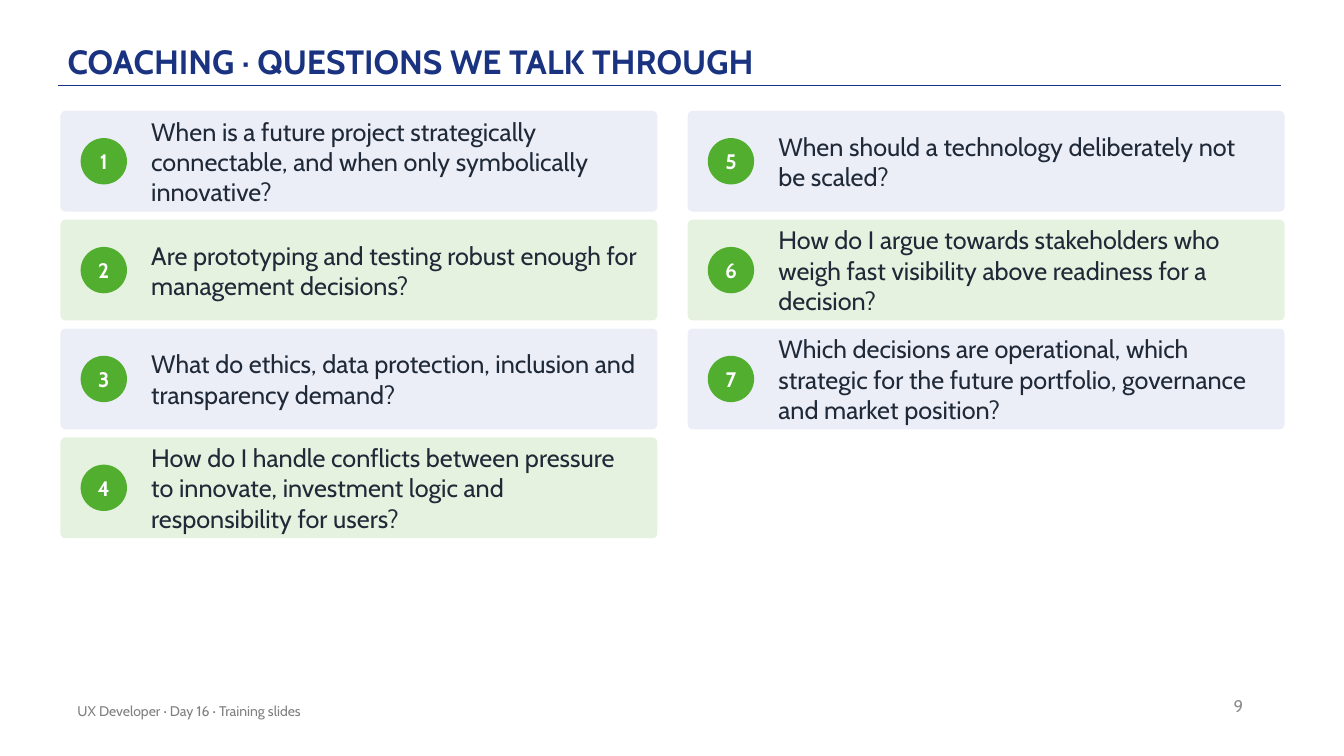
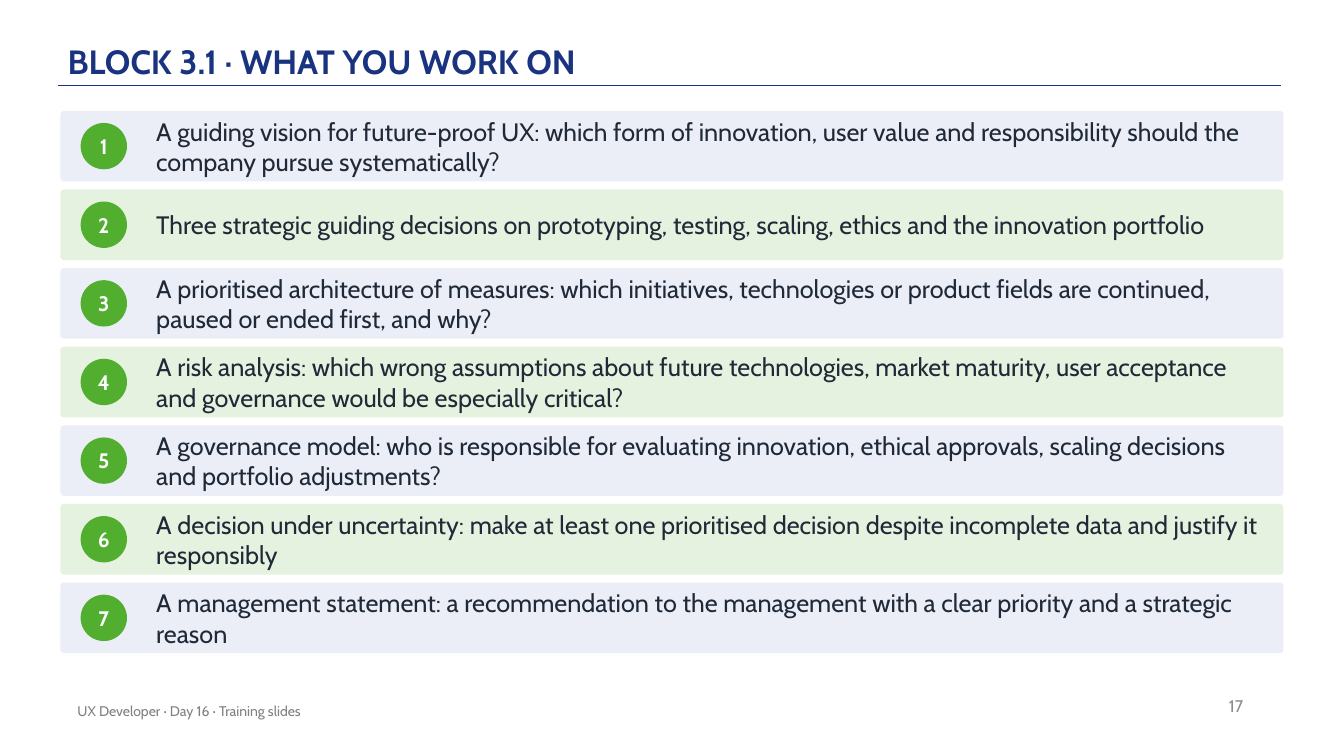
from lxml import etree
from pptx import Presentation
from pptx.dml.color import RGBColor
from pptx.enum.shapes import MSO_CONNECTOR, MSO_SHAPE
from pptx.enum.text import MSO_ANCHOR, MSO_AUTO_SIZE, PP_ALIGN
from pptx.oxml.ns import qn
from pptx.util import Emu, Pt

STRAIGHT = MSO_CONNECTOR.STRAIGHT
ROUNDED, OVAL = MSO_SHAPE.ROUNDED_RECTANGLE, MSO_SHAPE.OVAL
MIDDLE, BOTTOM = MSO_ANCHOR.MIDDLE, MSO_ANCHOR.BOTTOM
LEFT, CENTER, RIGHT = PP_ALIGN.LEFT, PP_ALIGN.CENTER, PP_ALIGN.RIGHT
NO_FIT, FIT_SHAPE = MSO_AUTO_SIZE.NONE, MSO_AUTO_SIZE.SHAPE_TO_FIT_TEXT

# Shared style; 100 px to the inch
EMU_PER_PX = 9144
FONT = "Cabin"
NAVY, GREEN, WHITE, INK = "1A3381", "51AE2F", "FFFFFF", "1F2937"
NUMBER_GREY, FOOTER_GREY = "8C8C8C", "808080"
CARD_FILLS = ("ECEEF7", "E5F2DF")
FOOTER = "UX Developer · Day 16 · Training slides"

# Card grid
CARD_LEFT, CARD_TOP = 60, 110
COLUMN_GAP, ROW_GAP = 30, 8
BADGE_SIZE, BADGE_INDENT = 46, 20

QUESTIONS = [
    "When is a future project strategically connectable, and when only symbolically innovative?",
    "Are prototyping and testing robust enough for management decisions?",
    "What do ethics, data protection, inclusion and transparency demand?",
    "How do I handle conflicts between pressure to innovate, investment logic and responsibility for users?",
    "When should a technology deliberately not be scaled?",
    "How do I argue towards stakeholders who weigh fast visibility above readiness for a decision?",
    "Which decisions are operational, which strategic for the future portfolio, governance and market position?",
]
TASKS = [
    "A guiding vision for future-proof UX: which form of innovation, user value and responsibility should the company pursue systematically?",
    "Three strategic guiding decisions on prototyping, testing, scaling, ethics and the innovation portfolio",
    "A prioritised architecture of measures: which initiatives, technologies or product fields are continued, paused or ended first, and why?",
    "A risk analysis: which wrong assumptions about future technologies, market maturity, user acceptance and governance would be especially critical?",
    "A governance model: who is responsible for evaluating innovation, ethical approvals, scaling decisions and portfolio adjustments?",
    "A decision under uncertainty: make at least one prioritised decision despite incomplete data and justify it responsibly",
    "A management statement: a recommendation to the management with a clear priority and a strategic reason",
]


def px(*lengths):
    return [Emu(n * EMU_PER_PX) for n in lengths]


def rgb(color):
    return RGBColor.from_string(color)


def write(sp, text, size, color, bold=False, align=LEFT, anchor=MIDDLE,
          insets=(0, 0), fit=NO_FIT):
    tf = sp.text_frame
    tf.word_wrap = True
    tf.auto_size = fit
    tf.vertical_anchor = anchor
    side, edge = px(*insets)
    tf.margin_left = tf.margin_right = side
    tf.margin_top = tf.margin_bottom = edge
    p = tf.paragraphs[0]
    p.text = text
    p.alignment = align
    p.font.name = FONT
    p.font.size = Pt(size)
    p.font.bold = bold
    p.font.color.rgb = rgb(color)
    return p


def add_text(s, box, text, size, color, **style):
    write(s.shapes.add_textbox(*px(*box)), text, size, color, **style)


def add_filled(s, kind, box, fill):
    sp = s.shapes.add_shape(kind, *px(*box))
    sp.shadow.inherit = False
    sp.fill.solid()
    sp.fill.fore_color.rgb = rgb(fill)
    sp.line.fill.background()
    return sp


def add_title_rule(s):
    rule = s.shapes.add_connector(STRAIGHT, *px(58, 85, 1271, 85))
    rule.line.color.rgb = rgb(NAVY)
    rule.line.width = Pt(1)
    etree.SubElement(rule._element.spPr, qn("a:effectLst"))


def add_slide(prs, title, number):
    s = prs.slides.add_slide(prs.slide_layouts[5])
    add_title_rule(s)
    sp = s.shapes.title
    sp.left, sp.top, sp.width, sp.height = px(67, 12, 1100, 72)
    p = write(sp, title, 24, NAVY, bold=True, anchor=BOTTOM, insets=(0, 3))
    p.line_spacing = 0.9
    # Page number and footer
    add_text(s, (943, 680, 300, 40), str(number), 12, NUMBER_GREY,
             align=RIGHT, insets=(10, 5))
    add_text(s, (67, 685, 670, 40), FOOTER, 10, FOOTER_GREY, insets=(10, 5))
    return s


def add_card(s, box, number, text, fill, text_indent, right_pad):
    x, y, w, h = box
    card = add_filled(s, ROUNDED, box, fill)
    card.adjustments[0] = 0.05
    badge_top = y + (h - BADGE_SIZE) // 2
    badge = add_filled(s, OVAL, (x + BADGE_INDENT, badge_top, BADGE_SIZE, BADGE_SIZE), GREEN)
    write(badge, str(number), 15, WHITE, bold=True, align=CENTER)
    add_text(s, (x + text_indent, y, w - text_indent - right_pad, h),
             text, 18, INK, fit=FIT_SHAPE)


def add_cards(s, texts, rows, w, h, text_indent, right_pad):
    """Number the cards down each column, alternating fills by row."""
    for i, text in enumerate(texts):
        col, row = divmod(i, rows)
        box = (CARD_LEFT + col * (w + COLUMN_GAP), CARD_TOP + row * (h + ROW_GAP), w, h)
        add_card(s, box, i + 1, text, CARD_FILLS[row % 2], text_indent, right_pad)


def main():
    prs = Presentation()
    prs.slide_width, prs.slide_height = px(1333, 750)

    # Coaching questions in two columns
    s = add_slide(prs, "COACHING · QUESTIONS WE TALK THROUGH", 9)
    add_cards(s, QUESTIONS, rows=4, w=592, h=100, text_indent=90, right_pad=20)

    # Work tasks in one full-width column
    s = add_slide(prs, "BLOCK 3.1 · WHAT YOU WORK ON", 17)
    add_cards(s, TASKS, rows=7, w=1213, h=70, text_indent=95, right_pad=25)

    prs.save("out.pptx")


if __name__ == "__main__":
    main()
